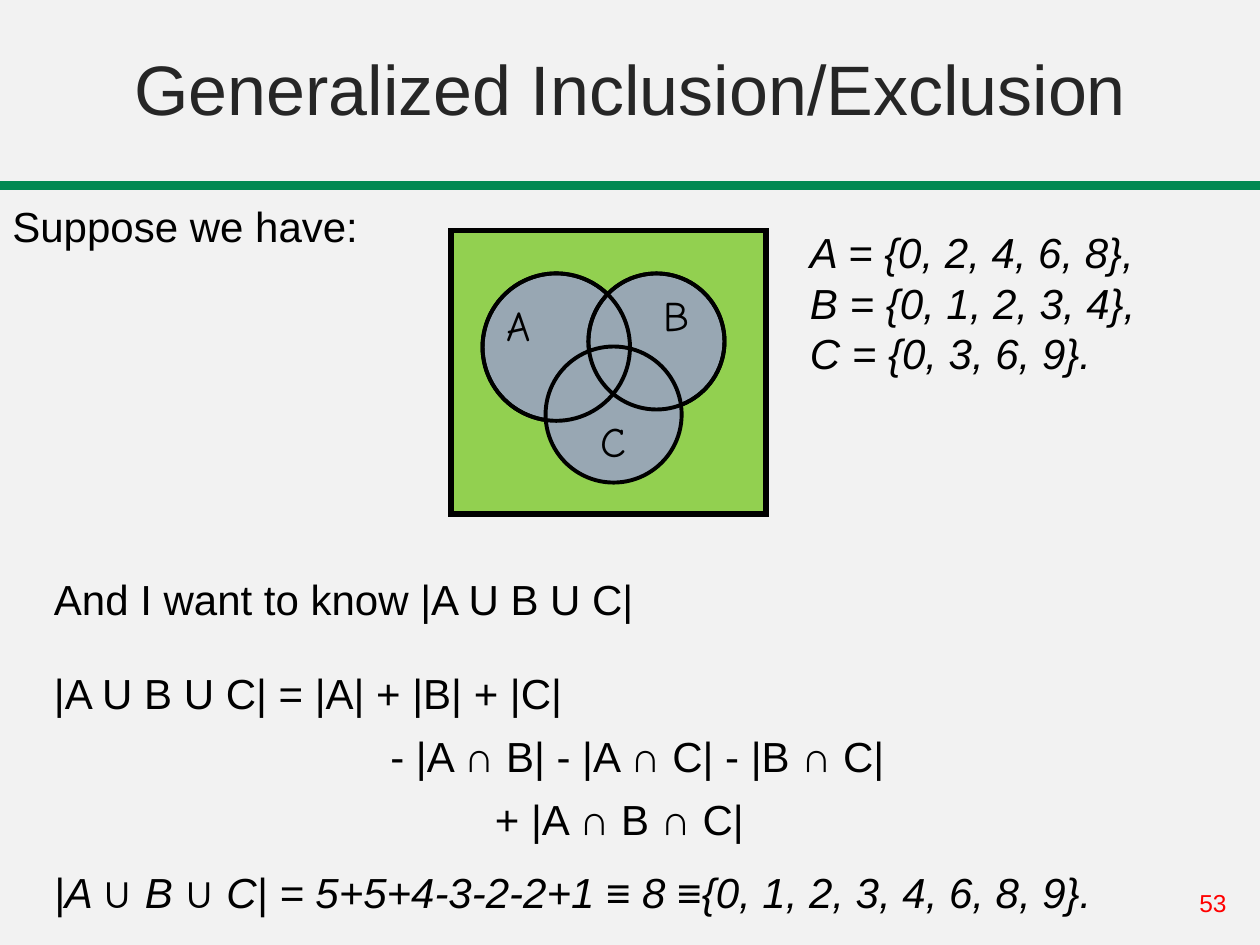
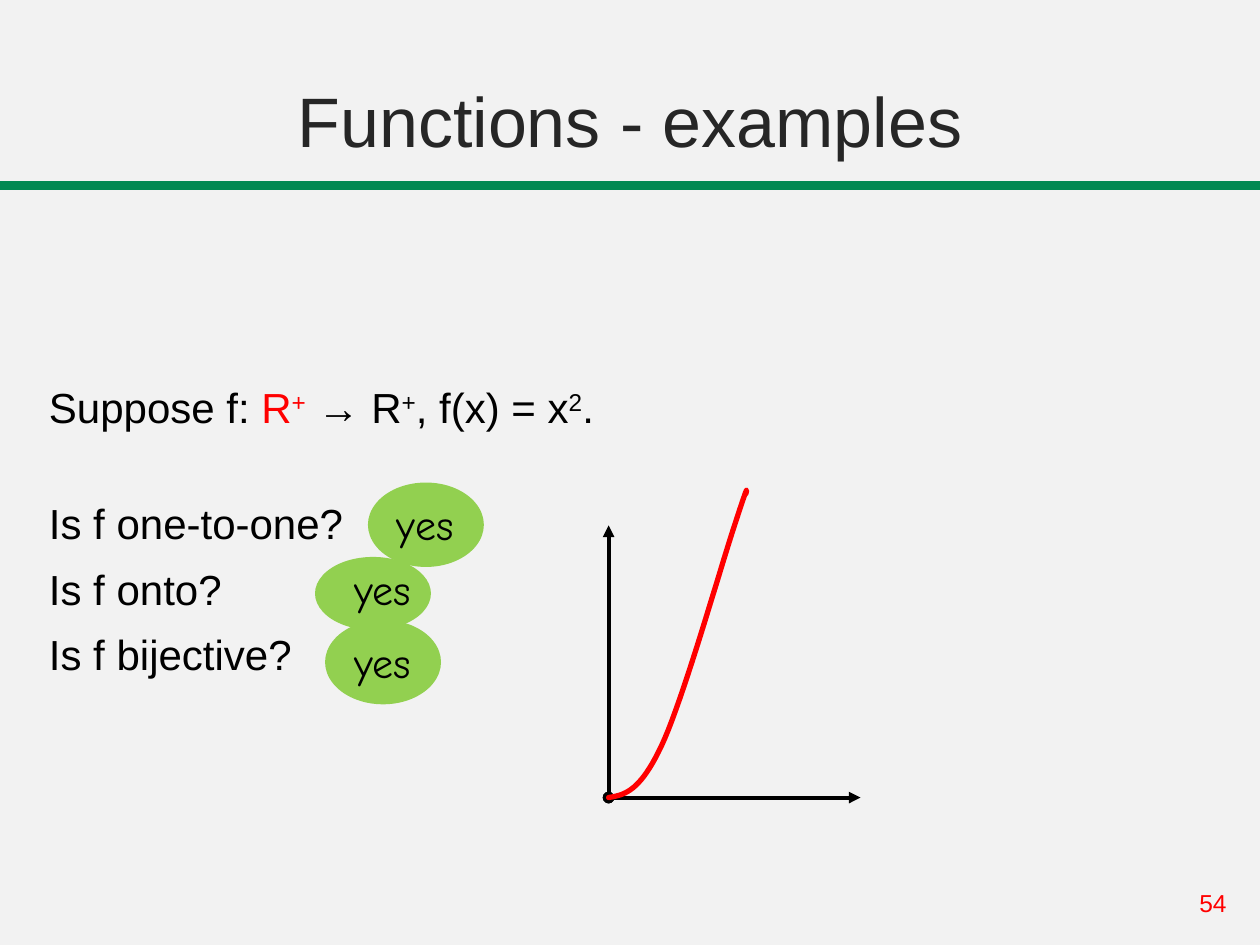
"""Build two lecture slides on inclusion/exclusion and function properties."""
from lxml import etree
from pptx import Presentation
from pptx import util as u
from pptx.dml import color
from pptx.enum import shapes, text
from pptx.oxml import ns

BACKGROUND, BAND, TITLE = "F2F2F2", "018952", "262626"
BLACK, RED, GREEN, GRAY = "000000", "FF0000", "92D050", "98A7B3"
BODY_FONT, HAND_FONT = "Arial", "Comic Neue"
RECTANGLE = shapes.MSO_SHAPE.RECTANGLE
OVAL = shapes.MSO_SHAPE.OVAL
MIDDLE, BOTTOM = text.MSO_ANCHOR.MIDDLE, text.MSO_ANCHOR.BOTTOM
CENTER = text.PP_ALIGN.CENTER

CIRCLE_A = (3.83, 2.17, 1.17, 1.17)
CIRCLE_B = (4.67, 2.17, 1.08, 1.08)
CIRCLE_C = (4.33, 2.75, 1.08, 1.08)
ORIGIN = (4.83, 6.33)
CURVE = [
    [ORIGIN, (4.96, 6.31), (5.08, 6.28), (5.25, 5.92)],
    [(5.25, 5.92), (5.42, 5.56), (5.72, 4.5), (5.83, 4.17)],
    [(5.83, 4.17), (5.94, 3.83), (5.93, 3.88), (5.92, 3.92)],
]


def rgb(value):
    """Return the colour for a hex string."""
    return color.RGBColor.from_string(value)


def inches(values):
    """Convert numbers to lengths."""
    return [u.Inches(value) for value in values]


def style_run(run, size=24, font=BODY_FONT, ink=BLACK, italic=False, raised=False):
    """Set the look of one run."""
    run.font.size = u.Pt(size)
    run.font.name = font
    run.font.color.rgb = rgb(ink)
    if italic:
        run.font.italic = True
    if raised:
        run.font._element.set("baseline", "30000")


def add_text(parent, box, lines, align=None, anchor=text.MSO_ANCHOR.TOP, **style):
    """Add a wrapped text box with one paragraph per line and return its frame."""
    frame = parent.add_textbox(*inches(box)).text_frame
    frame.word_wrap = True
    frame.vertical_anchor = anchor
    frame.text = lines
    for paragraph in frame.paragraphs:
        paragraph.alignment = align
        for run in paragraph.runs:
            style_run(run, **style)
    return frame


def style_line(line, ink, width, join="a:miter"):
    """Set the colour, width and corner style of a line."""
    line.color.rgb = rgb(ink)
    line.width = u.Pt(width)
    etree.SubElement(line._get_or_add_ln(), ns.qn(join))


def add_figure(parent, kind, box, fill=None, ink=None, width=2.25):
    """Add a preset shape, with fill and outline only where given."""
    shape = parent.add_shape(kind, *inches(box))
    shape.shadow.inherit = False
    if fill:
        shape.fill.solid()
        shape.fill.fore_color.rgb = rgb(fill)
    else:
        shape.fill.background()
    if ink:
        style_line(shape.line, ink, width)
    else:
        shape.line.fill.background()


def add_axis(slide, end):
    """Add an axis from the origin, with a dot at its start and an arrowhead."""
    axis = slide.shapes.add_connector(
        shapes.MSO_CONNECTOR.STRAIGHT, *inches(ORIGIN + end))
    style_line(axis.line, BLACK, 2.25)
    outline = axis.line._get_or_add_ln()
    for tag, kind in (("a:headEnd", "oval"), ("a:tailEnd", "triangle")):
        etree.SubElement(outline, ns.qn(tag), type=kind)
    etree.SubElement(axis._element.spPr, ns.qn("a:effectLst"))


def bezier_point(controls, t):
    """Return the point at t on a cubic curve."""
    weights = ((1 - t) ** 3, 3 * t * (1 - t) ** 2, 3 * t ** 2 * (1 - t), t ** 3)
    return tuple(sum(weight * point[axis] for weight, point in zip(weights, controls))
                 for axis in (0, 1))


def add_curve(slide, segments, steps=20):
    """Draw joined cubic segments as one open line."""
    points = [inches(bezier_point(segment, step / steps))
              for segment in segments for step in range(1, steps + 1)]
    builder = slide.shapes.build_freeform(*inches(segments[0][0]))
    builder.add_line_segments(points, close=False)
    curve = builder.convert_to_shape()
    curve.shadow.inherit = False
    curve.fill.background()
    style_line(curve.line, RED, 3, "a:round")
    curve.line._get_or_add_ln().set("cap", "rnd")


def add_slide(presentation, title, title_top, number):
    """Add a slide with the shared band, page number and title."""
    slide = presentation.slides.add_slide(presentation.slide_layouts[6])
    add_figure(slide.shapes, RECTANGLE, (0, 1.45, 10, 0.05), BAND, BAND, 1.75)
    add_text(slide.shapes, (9.42, 7, 0.58, 0.34), str(number), size=14, ink=RED)
    add_text(slide.shapes, (0, title_top, 10, 1.08), title, CENTER, BOTTOM,
             size=40, ink=TITLE)
    return slide


def add_venn(slide):
    """Draw the three overlapping sets in their universe."""
    group = slide.shapes.add_group_shape().shapes
    add_figure(group, RECTANGLE, (3.58, 1.83, 2.5, 2.25), GREEN, BLACK, 3)
    for circle in (CIRCLE_A, CIRCLE_B, CIRCLE_C):
        add_figure(group, OVAL, circle, GRAY, BLACK)
    for circle in (CIRCLE_B, CIRCLE_A):
        add_figure(group, OVAL, circle, ink=BLACK)
    for label, left, top in (("A", 3.92, 2.33), ("B", 5.17, 2.25), ("C", 4.67, 3.25)):
        add_text(slide.shapes, (left, top, 0.5, 0.58), label, font=HAND_FONT)


def add_answer(slide, oval, text_left, text_top):
    """Add a green oval with a handwritten yes."""
    group = slide.shapes.add_group_shape().shapes
    add_figure(group, OVAL, oval, GREEN)
    add_text(group, (text_left, text_top, 0.91, 0.5), "yes", CENTER, font=HAND_FONT)


def add_questions(slide):
    """Add the definition of f and the questions about it."""
    frame = add_text(slide.shapes, (0.29, 1.75, 8.38, 4.92),
                     "\nIs f one-to-one?\nIs f onto?\nIs f bijective?", anchor=MIDDLE)
    definition, *questions = frame.paragraphs
    for words, ink, raised in (
            ("Suppose f: ", BLACK, False), ("R", RED, False), ("+", RED, True),
            (" → R", BLACK, False), ("+", BLACK, True), (", f(x) = x", BLACK, False),
            ("2", BLACK, True), (".", BLACK, False)):
        run = definition.add_run()
        run.text = words
        style_run(run, ink=ink, raised=raised)
    for paragraph in questions:
        paragraph.line_spacing = 1.3
    questions[0].space_before = u.Pt(29)


def build_inclusion_exclusion(presentation):
    """Build the slide on the size of a union of three sets."""
    slide = add_slide(presentation, "Generalized Inclusion/Exclusion", 0, 53)
    add_text(slide.shapes, (0, 1.5, 8.25, 0.58), "Suppose we have:", anchor=MIDDLE)
    add_venn(slide)
    for box, words in (
            ((0.33, 4.5, 7.17, 1.25), "And I want to know |A U B U C|"),
            ((0.33, 5.25, 4.83, 0.58), "|A U B U C| = |A| + |B| + |C|"),
            ((3.83, 6.25, 2.5, 0.67), "+ |A ∩ B ∩ C|"),
            ((3, 5.75, 4.83, 0.58), "- |A ∩ B| - |A ∩ C| - |B ∩ C|")):
        add_text(slide.shapes, box, words)
    add_text(slide.shapes, (6.33, 1.75, 3.42, 1.31),
             "A = {0, 2, 4, 6, 8},\nB = {0, 1, 2, 3, 4},\nC = {0, 3, 6, 9}.",
             italic=True)
    add_text(slide.shapes, (0.33, 6.83, 9.08, 0.51),
             "|A ∪ B ∪ C| = 5+5+4-3-2-2+1 ≡ 8 ≡{0, 1, 2, 3, 4, 6, 8, 9}.",
             italic=True)


def build_functions(presentation):
    """Build the slide on the squaring function."""
    slide = add_slide(presentation, "Functions - examples", 0.25, 54)
    add_questions(slide)
    add_answer(slide, (2.92, 3.83, 0.92, 0.67), 2.92, 3.91)
    for end in ((4.83, 4.17), (6.83, 6.33)):
        add_axis(slide, end)
    add_curve(slide, CURVE)
    add_answer(slide, (2.5, 4.42, 0.92, 0.58), 2.58, 4.42)
    add_answer(slide, (2.58, 4.92, 0.92, 0.67), 2.58, 5)


def main():
    """Create and save the presentation."""
    presentation = Presentation()
    presentation.slide_width, presentation.slide_height = inches((10, 7.5))
    background = presentation.slide_master.background.fill
    background.solid()
    background.fore_color.rgb = rgb(BACKGROUND)
    build_inclusion_exclusion(presentation)
    build_functions(presentation)
    presentation.save("out.pptx")


if __name__ == "__main__":
    main()
